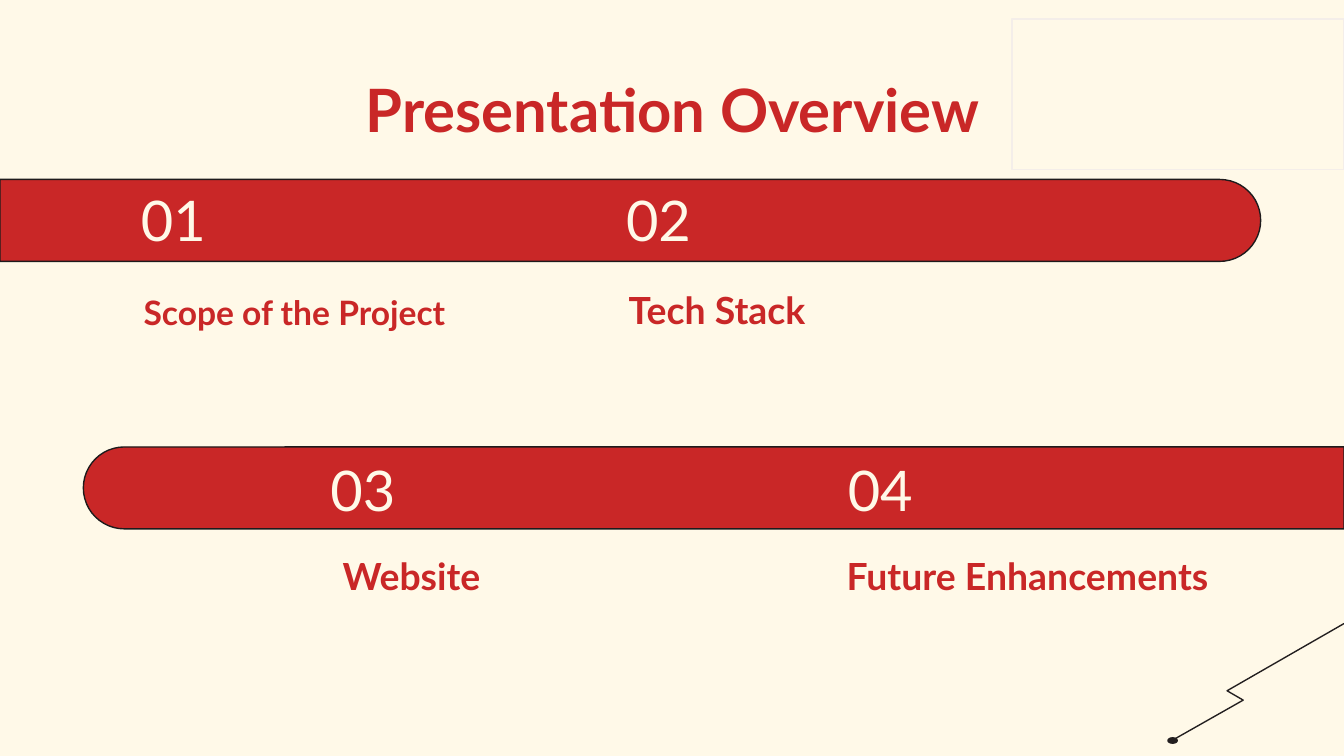
from pptx import Presentation
from pptx.dml.color import RGBColor
from pptx.enum.shapes import MSO_SHAPE as Shape
from pptx.enum.text import MSO_ANCHOR as Anchor, MSO_AUTO_SIZE as Auto, PP_ALIGN as Align
from pptx.util import Inches, Pt

HEX = {"cream": "FFF9E8", "red": "C92727", "ink": "1E1B1C",
       "dark": "231F20", "pale": "F4EEE9"}
WIDE = 10
HIGH = WIDE * 9 / 16
TITLE = "Presentation Overview"

# Bars: centre x, centre y, rotation that turns the round end outward
BARS = [(5.31, 3.63, 270), (4.69, 1.64, 90)]
BAR_W, BAR_L = 0.61, 9.38

# Topics: number, its left and top, label, its left, top, width and size
TOPICS = [
    ("01", 0.95, 1.4, "Scope of the Project", 0.97, 2.05, 2.56, 18),
    ("02", 4.56, 1.4, "Tech Stack", 4.58, 2.05, 2.56, 20),
    ("03", 2.36, 3.41, "Website", 2.45, 4.03, 2.85, 20),
    ("04", 6.21, 3.41, "Future Enhancements", 6.2, 4.03, 3.81, 20),
]
ZIGZAG = [(10, 4.64), (9.13, 5.14), (9.25, 5.21), (8.72, 5.51)]


def color(name):
    return RGBColor.from_string(HEX[name])


def paint(shape, fill, line):
    shape.shadow.inherit = False
    if fill:
        shape.fill.solid()
        shape.fill.fore_color.rgb = color(fill)
    else:
        shape.fill.background()
    shape.line.color.rgb = color(line)
    shape.line.width = Pt(0.75)


def write(box, text, size, tint, bold=False, anchor=Anchor.BOTTOM,
          align=Align.LEFT, pad=0):
    frame = box.text_frame
    frame.word_wrap = True
    frame.auto_size = Auto.NONE
    frame.vertical_anchor = anchor
    frame.margin_left = frame.margin_right = Inches(0.1)
    frame.margin_top = frame.margin_bottom = Inches(pad)
    frame.text = text
    para = frame.paragraphs[0]
    para.alignment = align
    font = para.font
    font.name, font.size, font.bold = "Lato", Pt(size), bold
    font.color.rgb = color(tint)


def place(*sides):
    return [Inches(side) for side in sides]


deck = Presentation()
deck.slide_width, deck.slide_height = place(WIDE, HIGH)
slide = deck.slides.add_slide(deck.slide_layouts[5])
shapes = slide.shapes
slide.background.fill.solid()
slide.background.fill.fore_color.rgb = color("cream")

# Title
title = shapes.title
title.left, title.top, title.width, title.height = place(0.79, 0.49, 8.43, 0.63)
write(title, TITLE, 32, "red", True, Anchor.MIDDLE, Align.CENTER, 0.1)

# Zigzag line with a dot at its end
start, *rest = [place(*point) for point in ZIGZAG]
pen = shapes.build_freeform(*start)
pen.add_line_segments(rest, close=False)
paint(pen.convert_to_shape(), None, "dark")
dot = shapes.add_shape(Shape.OVAL, *place(8.69, 5.49, 0.07, 0.04))
paint(dot, "dark", "dark")

# Bars
for mid_x, mid_y, turn in BARS:
    bar = shapes.add_shape(
        Shape.ROUND_2_SAME_RECTANGLE,
        *place(mid_x - BAR_W / 2, mid_y - BAR_L / 2, BAR_W, BAR_L))
    bar.adjustments[0], bar.adjustments[1] = 0.5, 0
    bar.rotation = turn
    paint(bar, "red", "ink")

# Numbers and labels
for num, num_x, num_y, label, left, top, width, size in TOPICS:
    write(shapes.add_textbox(*place(num_x, num_y, 1.39, 0.48)), num, 30, "cream")
    write(shapes.add_textbox(*place(left, top, width, 0.42)), label, size, "red", True)

# Corner panel
panel = shapes.add_shape(Shape.RECTANGLE, *place(7.53, 0.14, 2.47, 1.12))
paint(panel, "cream", "pale")

deck.save("out.pptx")
